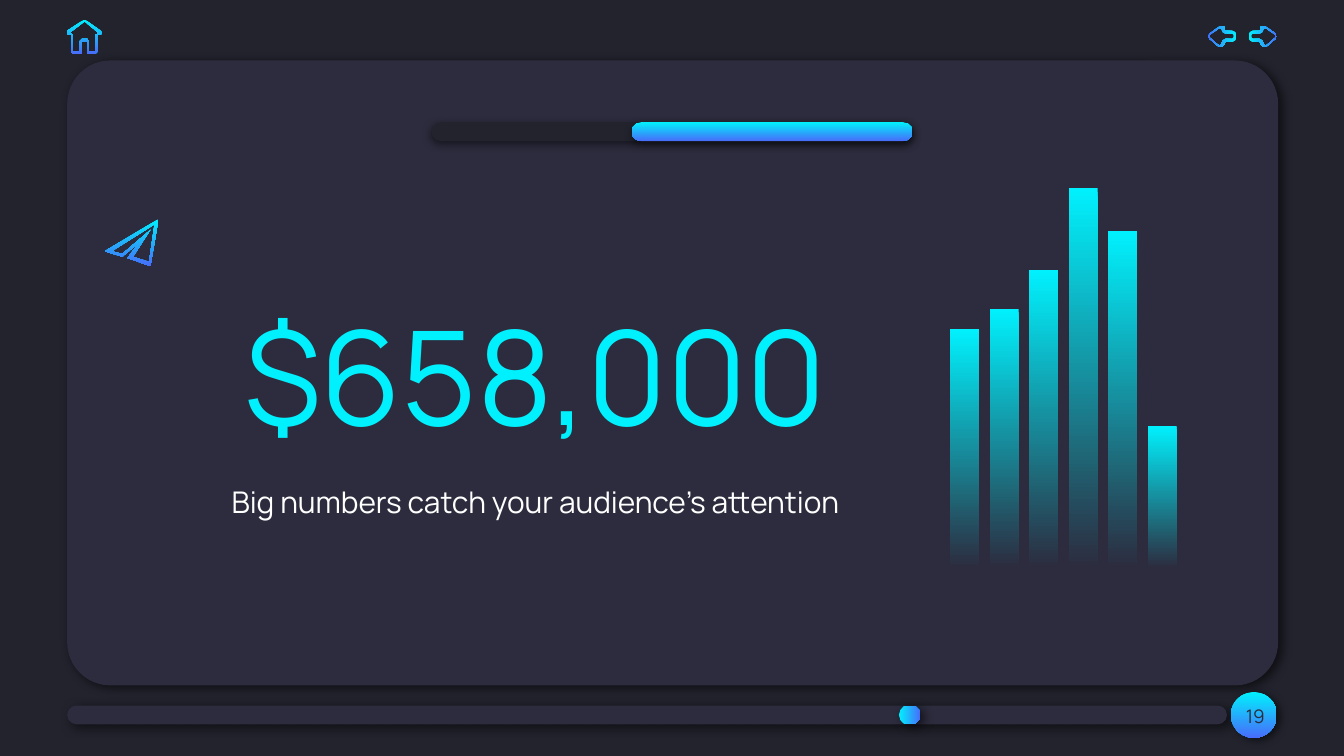
from dataclasses import dataclass

from pptx import Presentation, oxml, util as u
from pptx.dml.color import RGBColor
from pptx.enum import shapes, text
from pptx.oxml import ns

COLORS = {"ground": "23232E", "panel": "2C2C3E", "cyan": "01F0FD",
          "blue": "476DFA", "white": "FFFFFF", "shadow": "000000"}
COLUMNS, ROWS = 100, 56.25
CELL = u.Inches(10) // COLUMNS
ICON_STEPS = 10  # icon points per grid cell

GLOW = ("cyan", "blue")
FADE = ("cyan", "panel")
DOWN, RIGHTWARD, LEFTWARD = 270, 0, 180

# Shadows: opacity %, blur pt, distance pt, direction in degrees
SOFT = (60, 5.6, 2.2, 33)
BADGE = (60, 4.5, 2.2, 33)
DROP = (50, 4.5, 1.5, 90)

PLANE = [
    [(37, 4), (33, 32), (21, 28), (34, 8), (13, 26), (5, 24)],
    [(40, 0), (0, 24), (13, 28), (25, 18), (17, 29), (34, 35)],
]
NEXT_ARROW = [
    [(2, 7), (3, 6), (8, 6), (10, 5), (11, 3), (11, 2), (13, 2), (20, 7), (20, 9),
     (13, 15), (11, 14), (11, 13), (10, 11), (8, 10), (3, 10), (2, 9)],
    [(0, 9), (1, 11), (3, 12), (8, 12), (9, 13), (9, 14), (11, 16), (13, 16), (20, 10),
     (21, 8), (20, 6), (13, 1), (11, 0), (9, 1), (9, 3), (8, 4), (3, 4), (1, 5), (0, 7)],
]
BACK_ARROW = [[(21 - x, y) for x, y in contour] for contour in NEXT_ARROW]
HOUSE = [
    [(13, 1), (24, 10), (23, 10), (21, 11), (21, 23), (16, 23), (16, 16), (15, 14),
     (11, 14), (9, 16), (9, 23), (4, 23), (4, 11), (3, 10), (1, 10)],
    [(13, 0), (12, 0), (0, 8), (0, 10), (1, 11), (3, 11), (3, 23), (4, 25), (11, 25),
     (11, 16), (15, 16), (15, 25), (21, 25), (23, 23), (23, 11), (24, 11), (26, 10),
     (25, 8), (14, 0)],
]


@dataclass
class Box:
    """An area in grid columns and rows."""
    left: float
    top: float
    width: float
    height: float

    def within(self, left, top, width, height):
        return Box(self.left + left, self.top + top, width, height)

    def emu(self):
        return [round(n * CELL) for n in (self.left, self.top, self.width, self.height)]


def rgb(name):
    return RGBColor.from_string(COLORS[name])


def paint(shape, fill, angle=DOWN, shadow=None):
    """Fill with one colour name or a pair for a gradient; no outline."""
    if isinstance(fill, tuple):
        shape.fill.gradient()
        shape.fill.gradient_angle = angle
        for stop, name in zip(shape.fill.gradient_stops, fill):
            stop.color.rgb = rgb(name)
    else:
        shape.fill.solid()
        shape.fill.fore_color.rgb = rgb(fill)
    shape.line.fill.background()
    shape.shadow.inherit = False
    if shadow:
        opacity, blur, distance, direction = shadow
        effects = shape._element.spPr.find(ns.qn("a:effectLst"))
        effects.append(oxml.parse_xml(
            f'<a:outerShdw {ns.nsdecls("a")} blurRad="{u.Pt(blur)}" dist="{u.Pt(distance)}" '
            f'dir="{direction * 60000}" algn="bl" rotWithShape="0">'
            f'<a:srgbClr val="{COLORS["shadow"]}"><a:alpha val="{opacity * 1000}"/>'
            f'</a:srgbClr></a:outerShdw>'))


def add_block(parent, kind, box, fill, rounding=None, **finish):
    block = parent.add_shape(kind, *box.emu())
    if rounding is not None:
        block.adjustments[0] = rounding
    paint(block, fill, **finish)


def add_pill(parent, box, fill, **finish):
    add_block(parent, shapes.MSO_SHAPE.ROUNDED_RECTANGLE, box, fill, 0.5, **finish)


def add_icon(parent, box, contours, angle=DOWN):
    """Draw the contours from the box's corner; the inner one is the hole."""
    builder = parent.build_freeform(*contours[0][0], scale=CELL / ICON_STEPS)
    for index, contour in enumerate(contours):
        if index:
            builder.move_to(*contour[0])
        builder.add_line_segments(contour[1:], close=True)
    left, top, *_ = box.emu()
    paint(builder.convert_to_shape(left, top), GLOW, angle)


def add_label(parent, box, words, size, color, anchor=text.MSO_ANCHOR.MIDDLE):
    frame = parent.add_textbox(*box.emu()).text_frame
    margins = {f"margin_{side}": CELL for side in ("left", "top", "right", "bottom")}
    for name, value in {**margins, "word_wrap": True, "vertical_anchor": anchor}.items():
        setattr(frame, name, value)
    paragraph = frame.paragraphs[0]
    paragraph.text = words
    paragraph.alignment = text.PP_ALIGN.CENTER
    font = paragraph.runs[0].font
    for name, value in {"name": "Manrope", "size": u.Pt(size)}.items():
        setattr(font, name, value)
    font.color.rgb = rgb(color)


def add_panel(parent, box):
    add_block(parent, shapes.MSO_SHAPE.ROUNDED_RECTANGLE, box, "panel", 0.069, shadow=SOFT)


def add_footer(parent, box):
    add_pill(parent, box.within(0, 1, 86.3, 1.4), "panel", shadow=SOFT)
    add_block(parent, shapes.MSO_SHAPE.OVAL, box.within(86.6, 0, 3.4, 3.4), GLOW, shadow=BADGE)
    add_label(parent, box.within(85.4, -0.4, 6, 4.3), "19", 10, "panel")
    add_pill(parent, box.within(61.9, 1, 1.6, 1.4), GLOW, angle=RIGHTWARD, shadow=SOFT)


def add_headline(parent, box):
    add_label(parent, box.within(0, 0, box.width, 13.5), "$658,000", 70, "cyan")
    add_label(parent, box.within(0, 14, box.width, 4.3),
              "Big numbers catch your audience’s attention", 16, "white", text.MSO_ANCHOR.TOP)


def add_bars(parent, box, heights=(17.8, 19.3, 22.2, 28.3, 25.1, 10.6)):
    group = parent.add_group_shape().shapes
    bar_width = 2.15
    pitch = (box.width - bar_width) / (len(heights) - 1)
    for index, height in enumerate(heights):
        bar = box.within(index * pitch, box.height - height, bar_width, height)
        add_block(group, shapes.MSO_SHAPE.RECTANGLE, bar, FADE)


def add_navigation(parent, box):
    add_icon(parent, box.within(0, 0, 2.6, 2.5), HOUSE)
    add_icon(parent, box.within(84.9, 0.4, 2.1, 1.6), BACK_ARROW, LEFTWARD)
    add_icon(parent, box.within(87.9, 0.4, 2.1, 1.6), NEXT_ARROW, RIGHTWARD)


def add_progress(parent, box):
    group = parent.add_group_shape().shapes
    done = 20.9
    add_pill(group, box, "ground", shadow=DROP)
    add_pill(group, box.within(box.width - done, 0, done, box.height), GLOW, shadow=DROP)


def main():
    deck = Presentation()
    deck.slide_width, deck.slide_height = COLUMNS * CELL, round(ROWS * CELL)
    slide = deck.slides.add_slide(deck.slide_layouts[6])
    slide.background.fill.solid()
    slide.background.fill.fore_color.rgb = rgb("ground")
    parts = slide.shapes
    add_panel(parts, Box(5, 4.5, 90.1, 46.5))
    add_footer(parts, Box(5, 51.5, 90, 3.4))
    add_headline(parts, Box(12.5, 21, 54.7, 18.3))
    add_bars(parts, Box(70.7, 14, 16.85, 28.3))
    add_icon(parts, Box(7.8, 16.3, 4, 3.5), PLANE)
    add_navigation(parts, Box(5, 1.5, 90, 2.5))
    add_progress(parts, Box(32.1, 9.1, 35.8, 1.4))
    deck.save("out.pptx")


if __name__ == "__main__":
    main()
